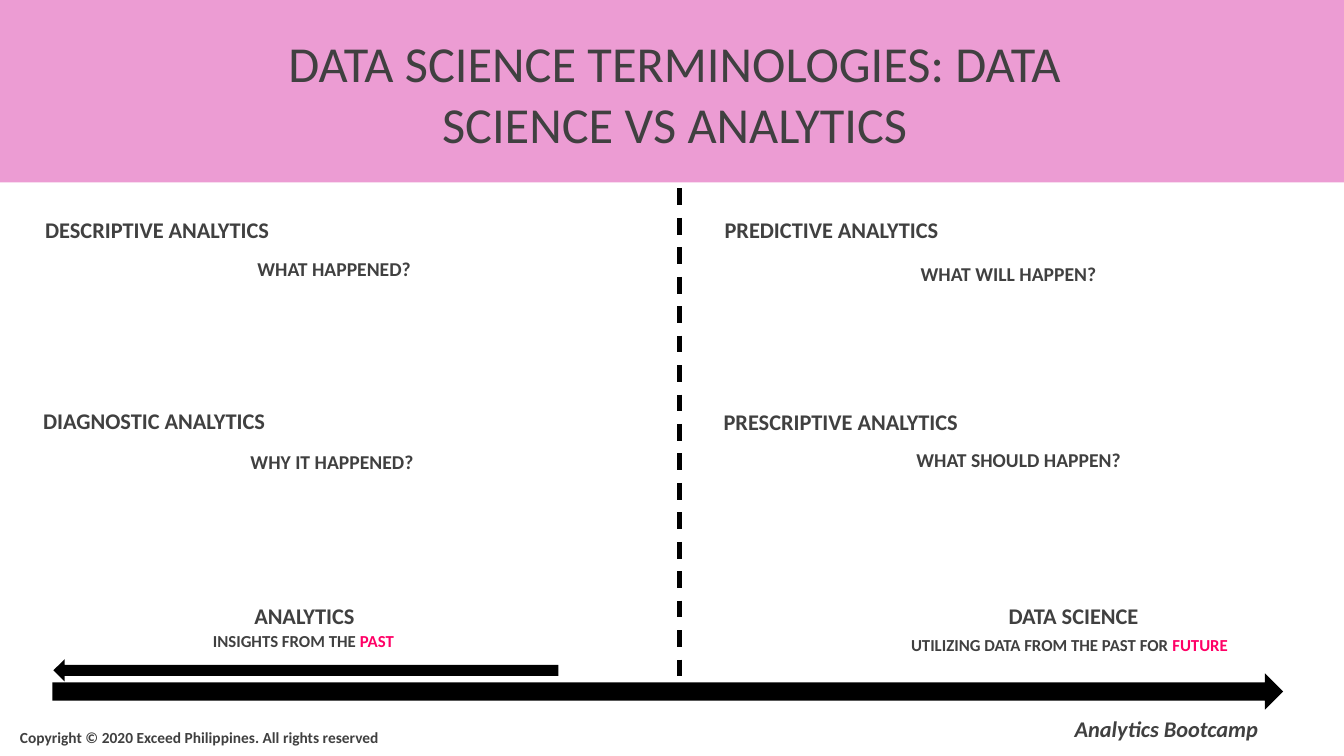
"""Build a slide that compares data science with analytics."""
from dataclasses import dataclass

from lxml.etree import SubElement
from pptx import Presentation
from pptx.dml.color import RGBColor
from pptx.enum.dml import MSO_LINE
from pptx.enum.shapes import MSO_CONNECTOR, MSO_SHAPE
from pptx.enum.text import MSO_ANCHOR, MSO_AUTO_SIZE, PP_ALIGN
from pptx.oxml import parse_xml
from pptx.oxml.ns import qn
from pptx.shapes.autoshape import Shape
from pptx.slide import Slide
from pptx.text.text import TextFrame, _Run
from pptx.util import Pt

PINK = RGBColor(0xEC, 0x9C, 0xD3)
GREY = RGBColor(0x40, 0x40, 0x40)
MAGENTA = RGBColor(0xFF, 0x00, 0x66)
BLACK = RGBColor(0, 0, 0)
FONT = "Calibri"
SLIDE_WIDTH, SLIDE_HEIGHT = 960, 540
COLUMN_WIDTH, QUESTION_WIDTH = 449.3, 414
TEXT_SHADOW = (
    '<a:effectLst xmlns:a="http://schemas.openxmlformats.org/drawingml/2006/main">'
    '<a:outerShdw blurRad="50800" dist="38100" dir="10800000" algn="r">'
    '<a:srgbClr val="000000"><a:alpha val="40000"/></a:srgbClr>'
    "</a:outerShdw></a:effectLst>"
)


@dataclass(frozen=True)
class Label:
    """Text at a place, with an optional highlighted ending."""

    text: str
    left: float
    top: float
    width: float = COLUMN_WIDTH
    size: float = 16
    align: PP_ALIGN = PP_ALIGN.LEFT
    highlight: str = ""
    italic: bool = False
    shadow: bool = False


@dataclass(frozen=True)
class Block:
    """Filled preset shape."""

    preset: MSO_SHAPE
    left: float
    top: float
    width: float
    height: float
    fill: RGBColor
    flipped: bool = False


def question(text: str, left: float, top: float) -> Label:
    """Describe the question below a kind of analytics."""
    return Label(text, left, top, QUESTION_WIDTH, 14, PP_ALIGN.CENTER)


BAND = Block(MSO_SHAPE.RECTANGLE, 0, 0, SLIDE_WIDTH, 130.3, PINK)
TIME_ARROWS = (
    Block(MSO_SHAPE.RIGHT_ARROW, 38.2, 470.9, 360.7, 15.8, BLACK, flipped=True),
    Block(MSO_SHAPE.RIGHT_ARROW, 37.4, 481, 879.1, 25.9, BLACK),
)
LABELS = (
    Label("ANALYTICS", -7.2, 426.2, align=PP_ALIGN.CENTER),
    Label("INSIGHTS FROM THE ", -7.9, 447.1, size=12,
          align=PP_ALIGN.CENTER, highlight="PAST"),
    Label("DATA SCIENCE", 542.2, 426.2, align=PP_ALIGN.CENTER),
    Label("UTILIZING DATA FROM THE PAST FOR ", 539.3, 450, size=12,
          align=PP_ALIGN.CENTER, highlight="FUTURE"),
    Label("Copyright © 2020 Exceed Philippines. All rights reserved",
          7.2, 516.2, 597.6, 11, shadow=True),
    Label("Analytics Bootcamp", 456.5, 507.6, align=PP_ALIGN.RIGHT, italic=True),
    Label("DESCRIPTIVE ANALYTICS", 25.2, 150.5),
    Label("DIAGNOSTIC ANALYTICS", 23.8, 287.3),
    Label("PREDICTIVE ANALYTICS", 510.5, 150.8),
    Label("PRESCRIPTIVE ANALYTICS", 509.8, 288),
    question("WHAT WILL HAPPEN?", 513.4, 183.6),
    question("WHAT SHOULD HAPPEN?", 520.6, 316.1),
    question("WHAT HAPPENED?", 31.7, 180),
    question("WHY IT HAPPENED?", 30.2, 317.5),
)


def add_run(frame: TextFrame, text: str, size: float, color: RGBColor = GREY,
            bold: bool = True, italic: bool = False) -> _Run:
    """Append a formatted run to the first paragraph."""
    run = frame.paragraphs[0].add_run()
    run.text = text
    run.font.name = FONT
    run.font.size = Pt(size)
    run.font.bold = bold
    run.font.italic = italic
    run.font.color.rgb = color
    return run


def add_block(slide: Slide, block: Block) -> Shape:
    """Draw a filled shape without outline."""
    shape = slide.shapes.add_shape(block.preset, Pt(block.left), Pt(block.top),
                                   Pt(block.width), Pt(block.height))
    shape.shadow.inherit = False
    shape.fill.solid()
    shape.fill.fore_color.rgb = block.fill
    shape.line.fill.background()
    if block.flipped:
        shape.element.spPr.find(qn("a:xfrm")).set("flipH", "1")
    return shape


def add_label(slide: Slide, label: Label) -> None:
    """Draw a line of text."""
    box = slide.shapes.add_textbox(Pt(label.left), Pt(label.top), Pt(label.width),
                                   Pt(label.size * 1.22 + 7.2))
    frame = box.text_frame
    frame.word_wrap = True
    frame.auto_size = MSO_AUTO_SIZE.SHAPE_TO_FIT_TEXT
    frame.paragraphs[0].alignment = label.align
    run = add_run(frame, label.text, label.size, italic=label.italic)
    if label.shadow:
        run.font.fill._xPr.find(qn("a:solidFill")).addnext(parse_xml(TEXT_SHADOW))
    if label.highlight:
        add_run(frame, label.highlight, label.size, MAGENTA)


def add_title(slide: Slide, text: str) -> None:
    """Fill the title placeholder over the pink band."""
    title = slide.shapes.title
    title.left, title.top = Pt(151.9), Pt(19.4)
    title.width, title.height = Pt(660.2), Pt(94.3)
    frame = title.text_frame
    frame.word_wrap = True
    frame.auto_size = MSO_AUTO_SIZE.NONE
    frame.vertical_anchor = MSO_ANCHOR.TOP
    frame.paragraphs[0].alignment = PP_ALIGN.CENTER
    add_run(frame, text, 36, bold=False)
    title.element.addprevious(add_block(slide, BAND).element)


def add_divider(slide: Slide, x: float, top: float, bottom: float) -> None:
    """Draw the dashed line between the past and the future."""
    divider = slide.shapes.add_connector(MSO_CONNECTOR.STRAIGHT, Pt(x), Pt(top),
                                         Pt(x), Pt(bottom))
    divider.line.color.rgb = BLACK
    divider.line.width = Pt(3)
    divider.line.dash_style = MSO_LINE.DASH
    SubElement(divider.element.spPr, qn("a:effectLst"))


def main() -> None:
    """Build and save the slide."""
    deck = Presentation()
    deck.slide_width, deck.slide_height = Pt(SLIDE_WIDTH), Pt(SLIDE_HEIGHT)
    slide = deck.slides.add_slide(deck.slide_layouts[5])
    add_title(slide, "DATA SCIENCE TERMINOLOGIES: DATA SCIENCE VS ANALYTICS")
    for arrow in TIME_ARROWS:
        add_block(slide, arrow)
    add_divider(slide, 485.3, 134.6, 490.3)
    for label in LABELS:
        add_label(slide, label)
    deck.save("out.pptx")


if __name__ == "__main__":
    main()
